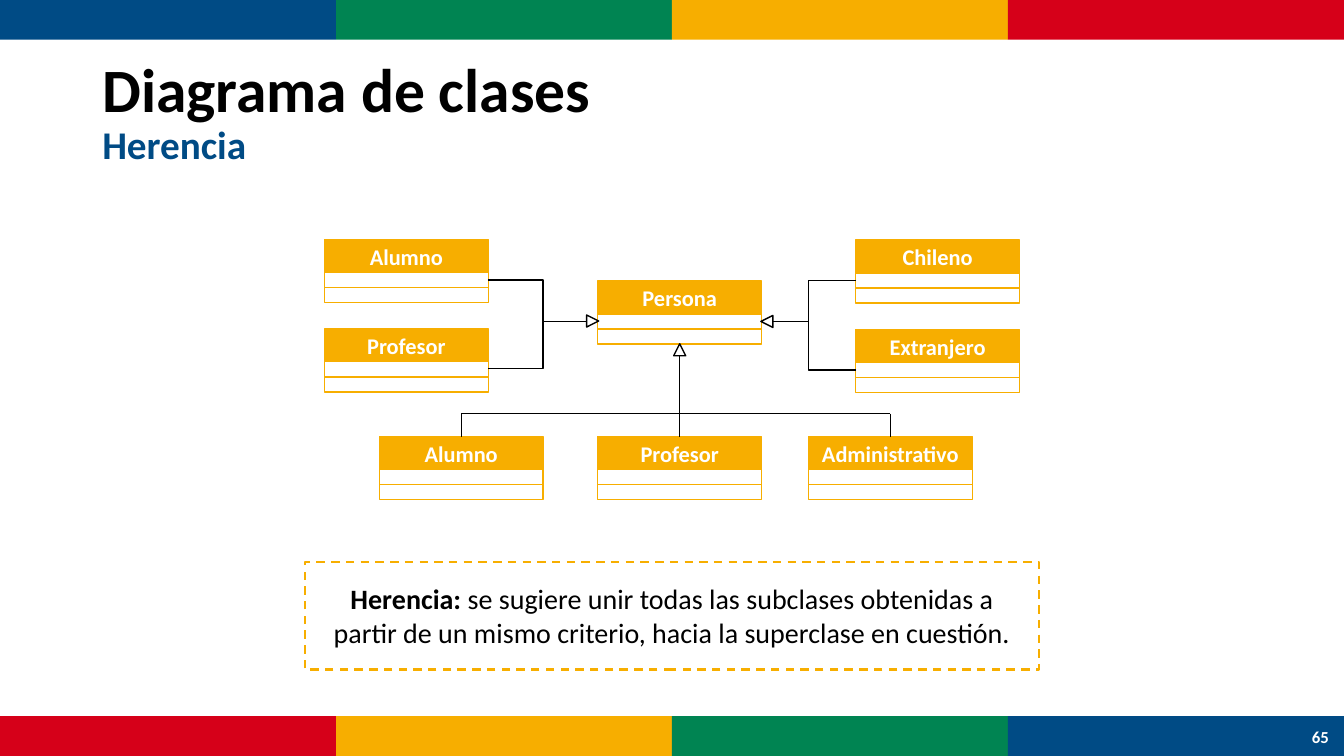
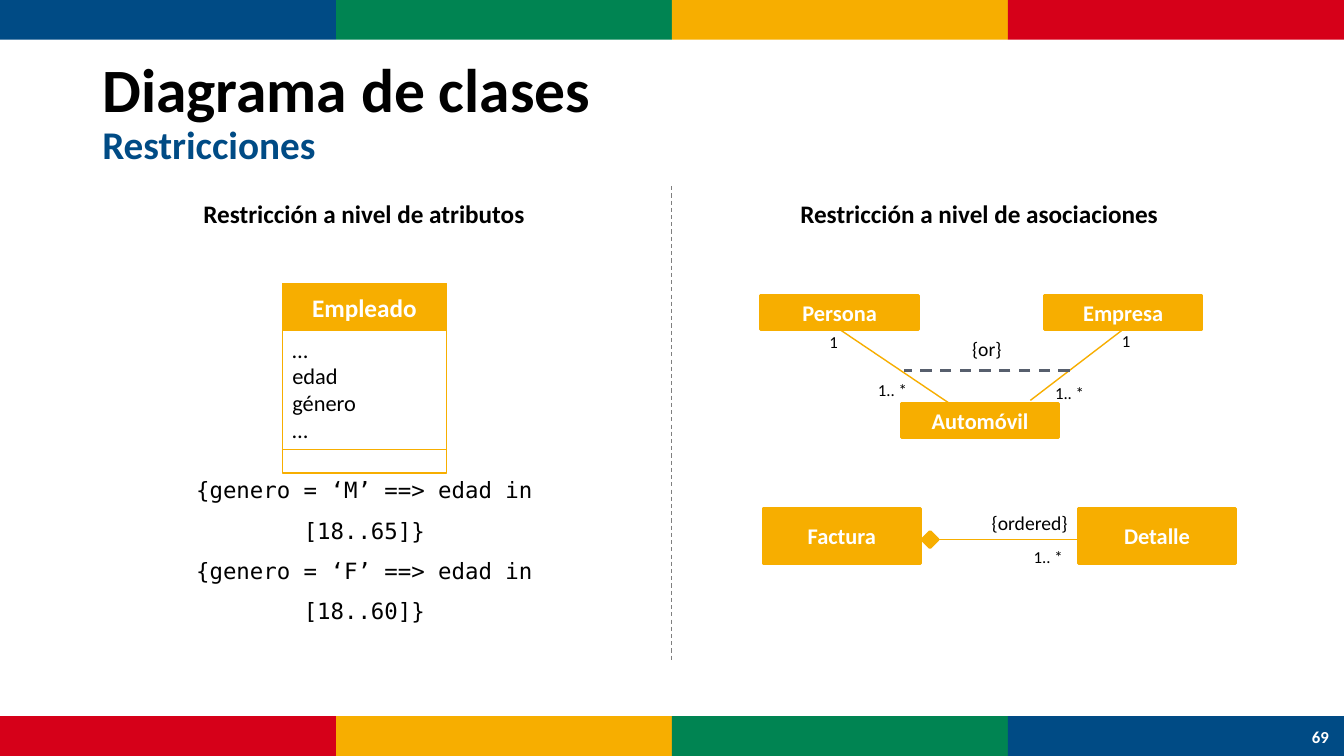
"""Build two slides on class diagrams: inheritance and constraints."""
from lxml import etree
from pptx import Presentation
from pptx.dml.color import RGBColor
from pptx.enum.dml import MSO_LINE
from pptx.enum.shapes import MSO_CONNECTOR, MSO_SHAPE
from pptx.enum.text import MSO_ANCHOR, PP_ALIGN
from pptx.oxml.ns import qn
from pptx.util import Pt

BLUE = RGBColor(0x00, 0x4B, 0x85)
GREEN = RGBColor(0x00, 0x84, 0x52)
GOLD = RGBColor(0xF7, 0xAE, 0x00)
RED = RGBColor(0xD6, 0x00, 0x19)
BLACK = RGBColor(0x00, 0x00, 0x00)
WHITE = RGBColor(0xFF, 0xFF, 0xFF)
GRAY = RGBColor(0x7F, 0x7F, 0x7F)
SLATE = RGBColor(0x57, 0x5F, 0x6D)
RECT = MSO_SHAPE.RECTANGLE
ARROW = MSO_SHAPE.ISOSCELES_TRIANGLE
DIAMOND = MSO_SHAPE.FLOWCHART_DECISION
LINE = MSO_CONNECTOR.STRAIGHT
ELBOW = MSO_CONNECTOR.ELBOW
DASH = MSO_LINE.DASH
LEFT, CENTER = PP_ALIGN.LEFT, PP_ALIGN.CENTER
TOP, MIDDLE = MSO_ANCHOR.TOP, MSO_ANCHOR.MIDDLE
SANS, MONO = "Calibri", "DejaVu Sans Mono"


def box(shapes, at, text="", size=16, color=BLACK, bold=False, align=CENTER,
        anchor=MIDDLE, font=SANS, kind=None, fill=None, edge=None, width=1):
    """Add a text box, or a preset shape when kind is given."""
    spot = [Pt(v) for v in at]
    if kind is None:
        item = shapes.add_textbox(*spot)
    else:
        item = shapes.add_shape(kind, *spot)
        item.shadow.inherit = False
        if fill is None:
            item.fill.background()
        else:
            item.fill.solid()
            item.fill.fore_color.rgb = fill
        if edge is None:
            item.line.fill.background()
        else:
            item.line.color.rgb = edge
            item.line.width = Pt(width)
    if text:
        frame = item.text_frame
        frame.word_wrap = True
        frame.vertical_anchor = anchor
        frame.text = text
        for para in frame.paragraphs:
            para.alignment = align
            for run in para.runs:
                run.font.name = font
                run.font.size = Pt(size)
                run.font.bold = bold
                run.font.color.rgb = color
    return item


def link(shapes, ends, color=BLACK, width=1, kind=LINE):
    """Add a connector from (x1, y1) to (x2, y2)."""
    item = shapes.add_connector(kind, *[Pt(v) for v in ends])
    item.line.color.rgb = color
    item.line.width = Pt(width)
    etree.SubElement(item._element.spPr, qn("a:effectLst"))
    return item


deck = Presentation()
deck.slide_width, deck.slide_height = Pt(960), Pt(540)

slides = []
for topic, page in (("Herencia", "65"), ("Restricciones", "69")):
    slide = deck.slides.add_slide(deck.slide_layouts[6])
    slides.append(slide.shapes)
    for top, hues in ((0, (BLUE, GREEN, GOLD, RED)),
                      (511.6, (RED, GOLD, GREEN, BLUE))):
        for col, hue in enumerate(hues):
            box(slide.shapes, (col * 240, top, 240, 28.4), kind=RECT, fill=hue)
    title = box(slide.shapes, (66, 29, 828, 104.4),
                f"Diagrama de clases\v{topic}", 44, bold=True, align=LEFT)
    para = title.text_frame.paragraphs[0]
    para.line_spacing = 0.9
    para.runs[1].font.size = Pt(28)
    para.runs[1].font.color.rgb = BLUE
    box(slide.shapes, (926.6, 512, 33, 29), page, 12, WHITE, True)

heir, rule = slides

note = box(heir, (218, 401.3, 524, 77),
           "Herencia: se sugiere unir todas las subclases obtenidas a partir "
           "de un mismo criterio, hacia la superclase en cuestión.",
           20, anchor=TOP, kind=RECT, edge=GOLD, width=1.5)
note.line.dash_style = DASH
frame = note.text_frame
frame.margin_left = frame.margin_right = Pt(8.5)
frame.margin_top = frame.margin_bottom = Pt(14.2)
para = frame.paragraphs[0]
lead, rest = para.runs[0].text.split(" ", 1)
para.runs[0].text = lead + " "
para.runs[0].font.bold = True
tail = para.add_run()
tail.text = rest
tail.font.name = SANS
tail.font.size = Pt(20)
tail.font.color.rgb = BLACK

wide, head, row = 117, 23.4, 10.8
for name, x, y in (
    ("Persona", 427, 200.8),
    ("Alumno", 231.8, 171.2), ("Profesor", 231.8, 235),
    ("Chileno", 611.3, 171.5), ("Extranjero", 611.3, 235.6),
    ("Alumno", 271, 312), ("Profesor", 427, 312),
    ("Administrativo", 577.5, 312),
):
    group = heir.add_group_shape().shapes
    box(group, (x, y, wide, head), name, 16, WHITE, True,
        kind=RECT, fill=GOLD, edge=GOLD)
    for step in range(2):
        box(group, (x, y + head + step * row, wide, row), kind=RECT, edge=GOLD)

for x, y, end in ((348.8, 200, 427), (348.8, 263.2, 427),
                  (611.3, 200.3, 544), (611.3, 264.2, 544)):
    link(heir, (x, y, end, 229.6), kind=ELBOW)
for ends in ((485.5, 245.8, 485.5, 312), (329.5, 295.5, 636, 295.5),
             (329.5, 295.5, 329.5, 312), (636, 295.5, 636, 312)):
    link(heir, ends)
for x, y, turn in ((419, 225, 90), (543.5, 225.3, 270), (481.2, 245.5, 0)):
    tip = box(heir, (x, y, 8.6, 8.6), kind=ARROW, fill=WHITE, edge=BLACK)
    tip.rotation = turn

box(rule, (201.8, 202.3, wide, 34), "Empleado", 18, WHITE, True,
    kind=RECT, fill=GOLD, edge=GOLD)
box(rule, (201.8, 321, wide, 16.8), kind=RECT, edge=GOLD)
box(rule, (201.8, 236.3, wide, 84.7), "…\nedad\ngénero\n…", align=LEFT,
    anchor=TOP, kind=RECT, edge=GOLD, width=0.75)
link(rule, (480, 133, 480, 472), GRAY, 0.75).line.dash_style = DASH
for x, text in ((74, "atributos"), (513.5, "asociaciones")):
    box(rule, (x, 137.8, 372, 29), f"Restricción a nivel de {text}", 18,
        bold=True, anchor=TOP)
code = box(rule, (87, 327.6, 346.5, 121.6),
           "{genero = ‘M’ ==> edad in [18..65]}\n"
           "{genero = ‘F’ ==> edad in [18..60]}", font=MONO)
for para in code.text_frame.paragraphs:
    para.line_spacing = 1.5

for name, x, y, high in (
    ("Persona", 543.5, 211.2, 24.3), ("Empresa", 746, 211.2, 24.3),
    ("Automóvil", 643.8, 288.3, 24.3),
    ("Factura", 545, 363.2, 39.2), ("Detalle", 770.2, 363.2, 39.2),
):
    box(rule, (x, y, 112.6, high), name, 16, WHITE, True,
        kind=RECT, fill=GOLD, edge=GOLD, width=2)
for ends in ((678, 288, 600, 235.5), (736, 286, 802, 235.5),
             (770.2, 385.5, 657.6, 385.5)):
    link(rule, ends, GOLD)
link(rule, (764, 264.4, 646, 264.4), SLATE, 2).line.dash_style = DASH
box(rule, (658.6, 379.7, 11.5, 11.5), kind=DIAMOND, fill=GOLD,
    edge=GOLD, width=2)
for text, x, y, span in (("{or}", 682.6, 237, 44.6),
                         ("{ordered}", 693.5, 361.5, 84)):
    box(rule, (x, y, span, 24.3), text, 14)
for text, x, y in (("1", 585.3, 233.5), ("1", 794.2, 232.8),
                   ("1.. *", 746.5, 270), ("1.. *", 620, 268),
                   ("1.. *", 731.2, 387.2)):
    box(rule, (x, y, 46.8, 21.8), text, 12, align=LEFT, anchor=TOP)

deck.save("out.pptx")
